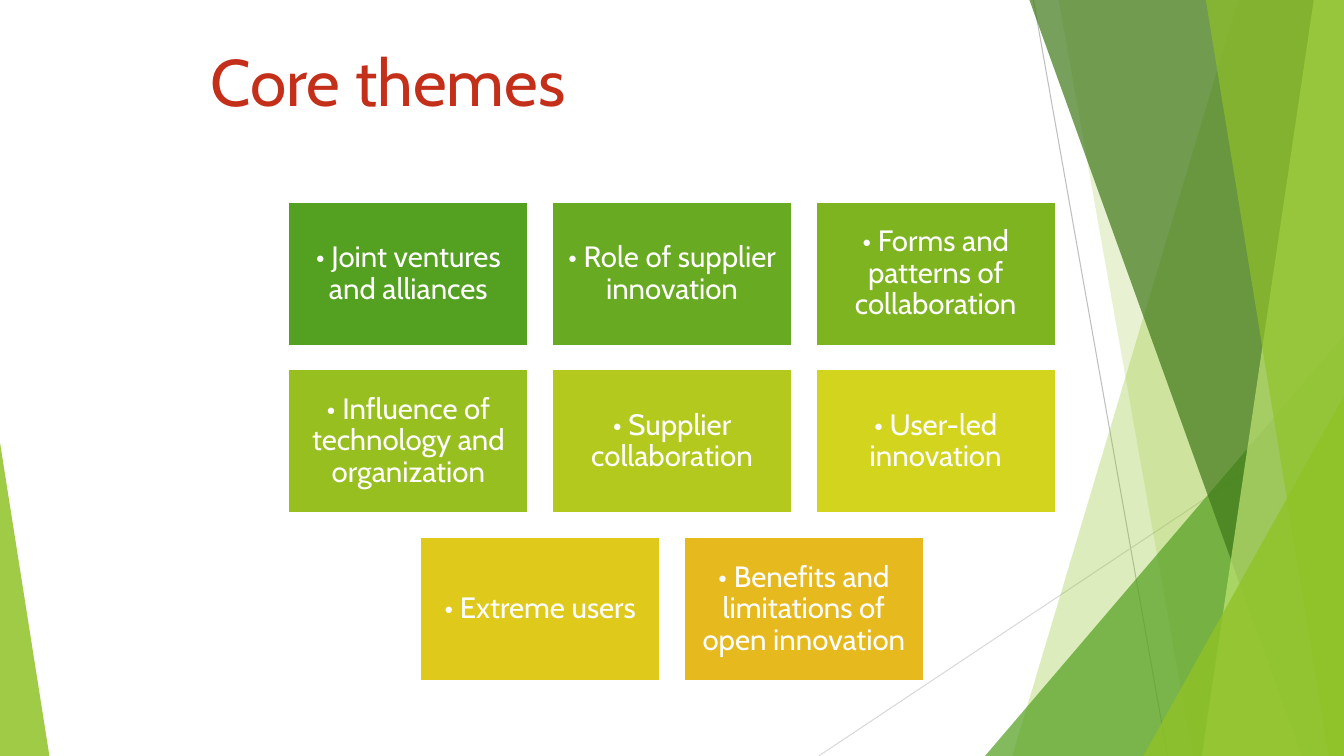
from lxml import etree
from pptx import Presentation
from pptx.dml.color import RGBColor
from pptx.enum.shapes import MSO_CONNECTOR, MSO_SHAPE
from pptx.enum.text import MSO_ANCHOR, PP_ALIGN
from pptx.oxml.ns import qn
from pptx.util import Inches, Pt

STRAIGHT = MSO_CONNECTOR.STRAIGHT
TRIANGLE = MSO_SHAPE.ISOSCELES_TRIANGLE
RECTANGLE = MSO_SHAPE.RECTANGLE
TOP, MIDDLE = MSO_ANCHOR.TOP, MSO_ANCHOR.MIDDLE
LEFT, CENTER = PP_ALIGN.LEFT, PP_ALIGN.CENTER
WIDTH, HEIGHT = 13.33, 7.5


def paint(fill, color):
    fill.solid()
    fill.fore_color.rgb = RGBColor.from_string(color)


def write(frame, text, size, color, align=LEFT, anchor=TOP, spacing=1.0):
    frame.word_wrap = True
    frame.vertical_anchor = anchor
    para = frame.paragraphs[0]
    para.alignment = align
    para.line_spacing = spacing
    span = para.add_run()
    span.text = text
    span.font.name = "Cabin"
    span.font.size = Pt(size)
    paint(span.font.fill, color)


deck = Presentation()
deck.slide_width, deck.slide_height = Inches(WIDTH), Inches(HEIGHT)
page = deck.slides.add_slide(deck.slide_layouts[5])

rays = [
    ((10.25, 0), (11.58, HEIGHT), "BFBFBF"),
    ((WIDTH, 4.03), (8.12, HEIGHT), "D9D9D9"),
]
for start, end, color in rays:
    ray = page.shapes.add_connector(STRAIGHT, *map(Inches, start + end))
    ray.line.width = Pt(0.75)
    paint(ray.line.fill, color)
    etree.SubElement(ray.element.spPr, qn("a:effectLst"))

right_top, right_bottom = (WIDTH, 0), (WIDTH, HEIGHT)
facets = [
    ("90C226", 30, [(12.28, 0), right_top, right_bottom, (10.04, HEIGHT)]),
    ("90C226", 20, [(10.5, 0), right_top, right_bottom, (11.83, HEIGHT)]),
    ("54A021", 72, [(WIDTH, 3.33), right_bottom, (9.77, HEIGHT)]),
    ("3F7819", 70, [(10.21, 0), right_top, right_bottom, (12.91, HEIGHT)]),
    ("C0E474", 70, [(13.03, 0), right_top, right_bottom, (11.92, HEIGHT)]),
    ("90C226", 65, [(11.96, 0), right_top, right_bottom, (13.18, HEIGHT)]),
    ("90C226", 80, [(WIDTH, 3.93), right_bottom, (11.34, HEIGHT)]),
    ("90C226", 85, [(0, 4.39), (0.49, HEIGHT), (0, HEIGHT)]),
]
for color, opacity, corners in facets:
    if len(corners) == 3:
        apex_x, apex_y = corners[0]
        left = min(x for x, y in corners)
        span_x = max(x for x, y in corners) - left
        facet = page.shapes.add_shape(
            TRIANGLE, *map(Inches, (left, apex_y, span_x, HEIGHT - apex_y)))
        facet.adjustments[0] = (apex_x - left) / span_x
    else:
        points = [(Inches(x), Inches(y)) for x, y in corners]
        outline = page.shapes.build_freeform(*points[0])
        outline.add_line_segments(points[1:])
        facet = outline.convert_to_shape()
    facet.shadow.inherit = False
    facet.line.fill.background()
    paint(facet.fill, color)
    tint = facet.element.spPr.find(qn("a:solidFill"))[0]
    etree.SubElement(tint, qn("a:alpha"), val=str(opacity * 1000))

title = page.shapes.title
title.left, title.top, title.width, title.height = map(Inches, (1.99, 0.35, 9.36, 1.45))
write(title.text_frame, "Core themes", size=47, color="C42F1A")

GRID_LEFT, GRID_TOP = 2.86, 2
CARD_WIDTH, CARD_HEIGHT = 2.38, 1.43
COLUMN_STEP, ROW_STEP, COLUMNS = 2.615, 1.665, 3
themes = [
    ("Joint ventures and alliances", "54A021"),
    ("Role of supplier innovation", "68AA21"),
    ("Forms and patterns of collaboration", "7EB420"),
    ("Influence of technology and organization", "97BF1F"),
    ("Supplier collaboration", "B3C91E"),
    ("User-led innovation", "D2D41D"),
    ("Extreme users", "DFCA1C"),
    ("Benefits and limitations of open innovation", "E6B91E"),
]
for index, (theme, color) in enumerate(themes):
    row, column = divmod(index, COLUMNS)
    cards_in_row = min(COLUMNS, len(themes) - row * COLUMNS)
    indent = (COLUMNS - cards_in_row) / 2
    card = page.shapes.add_shape(
        RECTANGLE,
        Inches(GRID_LEFT + (column + indent) * COLUMN_STEP),
        Inches(GRID_TOP + row * ROW_STEP),
        Inches(CARD_WIDTH), Inches(CARD_HEIGHT))
    card.shadow.inherit = False
    paint(card.fill, color)
    paint(card.line.fill, "FFFFFF")
    card.line.width = Pt(1.5)
    frame = card.text_frame
    frame.margin_left = frame.margin_right = Inches(0.09)
    frame.margin_top = frame.margin_bottom = Inches(0.09)
    write(frame, "• " + theme, size=21, color="FFFFFF",
          align=CENTER, anchor=MIDDLE, spacing=0.9)

deck.save("out.pptx")
